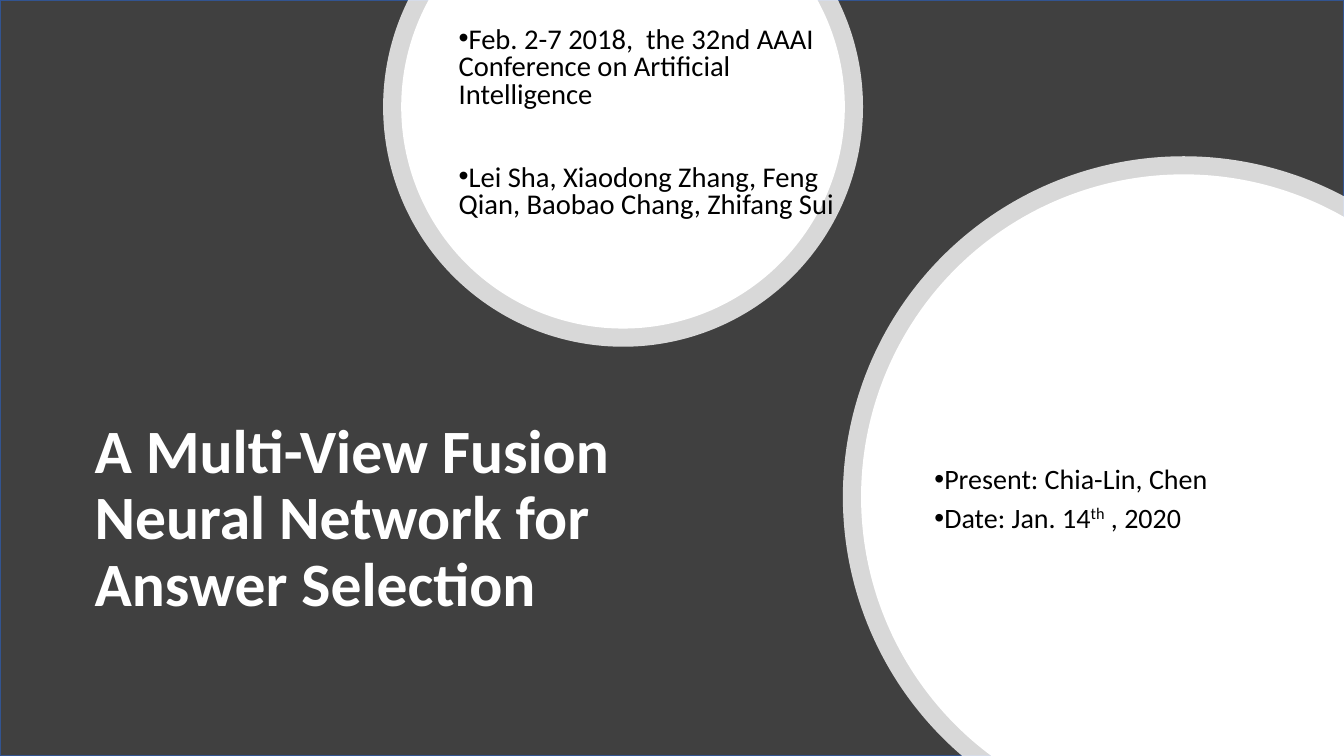
from math import acos, asin, cos, degrees, radians, sin

from lxml.etree import SubElement
from pptx import Presentation
from pptx.dml.color import RGBColor
from pptx.enum.shapes import MSO_SHAPE
from pptx.enum.text import MSO_ANCHOR, PP_ALIGN
from pptx.oxml.ns import qn
from pptx.util import Inches, Pt

COLORS = {"dark": "404040", "edge": "325491", "white": "FFFFFF", "black": "000000"}
WIDTH, HEIGHT = 13.33, 7.5
RING = 0.18


def rgb(name):
    """Return the named colour."""
    return RGBColor.from_string(COLORS[name])


def add_background(s, box):
    """Cover the box with the dark panel."""
    sp = s.shapes.add_shape(MSO_SHAPE.RECTANGLE, *map(Inches, box))
    sp.shadow.inherit = False
    sp.fill.solid()
    sp.fill.fore_color.rgb = rgb("dark")
    sp.line.color.rgb = rgb("edge")
    sp.line.width = Pt(1)


def top_angles(cx, cy, radius):
    """Return the arc angles of a disc cut by the top edge."""
    cut = degrees(asin(cy / radius))
    return [-cut, 0, 90, 180, 180 + cut]


def corner_angles(cx, cy, radius):
    """Return the arc angles of a disc cut by the bottom right corner."""
    bottom = 180 - degrees(asin((HEIGHT - cy) / radius))
    right = 360 - degrees(acos((WIDTH - cx) / radius))
    return [bottom, 180, 270, right]


def add_disc(s, cx, cy, radius, cut, corners, alpha=None):
    """Draw a white cut-off disc, with opacity in percent."""
    angles = cut(cx, cy, radius)
    points = [(cx + radius * cos(radians(a)), cy + radius * sin(radians(a)))
              for a in angles] + corners
    points = [(Inches(x), Inches(y)) for x, y in points]
    builder = s.shapes.build_freeform(*points[0])
    builder.add_line_segments(points[1:], close=True)
    sp = builder.convert_to_shape()
    lines = list(sp._element.iter(qn("a:lnTo")))
    for line, start, end in zip(lines, angles, angles[1:]):
        arc = line.makeelement(qn("a:arcTo"), {
            "wR": str(Inches(radius)),
            "hR": str(Inches(radius)),
            "stAng": str(round(start % 360 * 60000)),
            "swAng": str(round((end - start) * 60000)),
        })
        line.getparent().replace(line, arc)
    sp.shadow.inherit = False
    sp.fill.solid()
    sp.fill.fore_color.rgb = rgb("white")
    sp.line.fill.background()
    if alpha is not None:
        color = sp._element.spPr.find(qn("a:solidFill"))[0]
        SubElement(color, qn("a:alpha")).set("val", str(alpha * 1000))


def add_ringed_disc(s, cx, cy, radius, cut, corners):
    """Draw a disc with a translucent ring around it."""
    add_disc(s, cx, cy, radius, cut, corners, alpha=80)
    add_disc(s, cx, cy, radius - RING, cut, corners)


def add_text_frame(s, box):
    """Add a wrapping, vertically centred text box and return its frame."""
    tf = s.shapes.add_textbox(*map(Inches, box)).text_frame
    tf.word_wrap = True
    tf.vertical_anchor = MSO_ANCHOR.MIDDLE
    return tf


def add_run(p, text, size, color, bold=False):
    """Add one formatted run to a paragraph."""
    r = p.add_run()
    r.text = text
    r.font.name = "Calibri"
    r.font.size = Pt(size)
    r.font.bold = bold
    r.font.color.rgb = rgb(color)
    return r


def add_title(s, box, text):
    """Place the talk title in the box."""
    p = add_text_frame(s, box).paragraphs[0]
    p.alignment = PP_ALIGN.LEFT
    p.line_spacing = 0.9
    add_run(p, text, 44, "white", bold=True)


def add_bullets(s, box, items, size, spacing, before=0, after=0, lift=0):
    """List items of (text, baseline) runs in the box, raised by lift."""
    tf = add_text_frame(s, box)
    tf.margin_bottom = Inches(0.05 + 2 * lift)
    for i, runs in enumerate(items):
        p = tf.add_paragraph() if i else tf.paragraphs[0]
        pPr = p._p.get_or_add_pPr()
        pPr.set("marL", "0")
        pPr.set("indent", str(-Inches(0.25)))
        SubElement(pPr, qn("a:buFont")).set("typeface", "Arial")
        SubElement(pPr, qn("a:buChar")).set("char", "•")
        p.alignment = PP_ALIGN.LEFT
        p.line_spacing = spacing
        p.space_before = Pt(before if i else 0)
        p.space_after = Pt(after)
        for text, baseline in runs:
            r = add_run(p, text, size, "black")
            if baseline:
                r.font._element.set("baseline", str(baseline * 1000))


def build_title_slide(prs):
    """Build the title slide."""
    s = prs.slides.add_slide(prs.slide_layouts[6])
    add_background(s, (0, 0, WIDTH, HEIGHT))
    add_title(s, (0.84, 3.83, 6.62, 2.65),
              "A Multi-View Fusion Neural Network for Answer Selection")
    add_ringed_disc(s, 6.18, 1.06, 2.38, top_angles, [])
    add_bullets(s, (4.45, 0.32, 3.92, 2.02), [
        [("Feb. 2-7 2018,  the 32nd AAAI Conference on Artificial Intelligence", 0)],
        [("Lei Sha, Xiaodong Zhang, Feng Qian, Baobao Chang, Zhifang Sui", 0)],
    ], size=20.4, spacing=0.8, before=39.8, lift=0.1)
    add_ringed_disc(s, 11.74, 4.93, 3.38, corner_angles, [(WIDTH, HEIGHT)])
    add_bullets(s, (9.17, 3.44, 3.8, 3.04), [
        [("Present: Chia-Lin, Chen", 0)],
        [("Date: Jan. 14", 0), ("th", 30), (" , 2020", 0)],
    ], size=20, spacing=0.9, after=6)


def main():
    """Create and save the presentation."""
    prs = Presentation()
    prs.slide_width = Inches(WIDTH)
    prs.slide_height = Inches(HEIGHT)
    build_title_slide(prs)
    prs.save("out.pptx")


if __name__ == "__main__":
    main()
